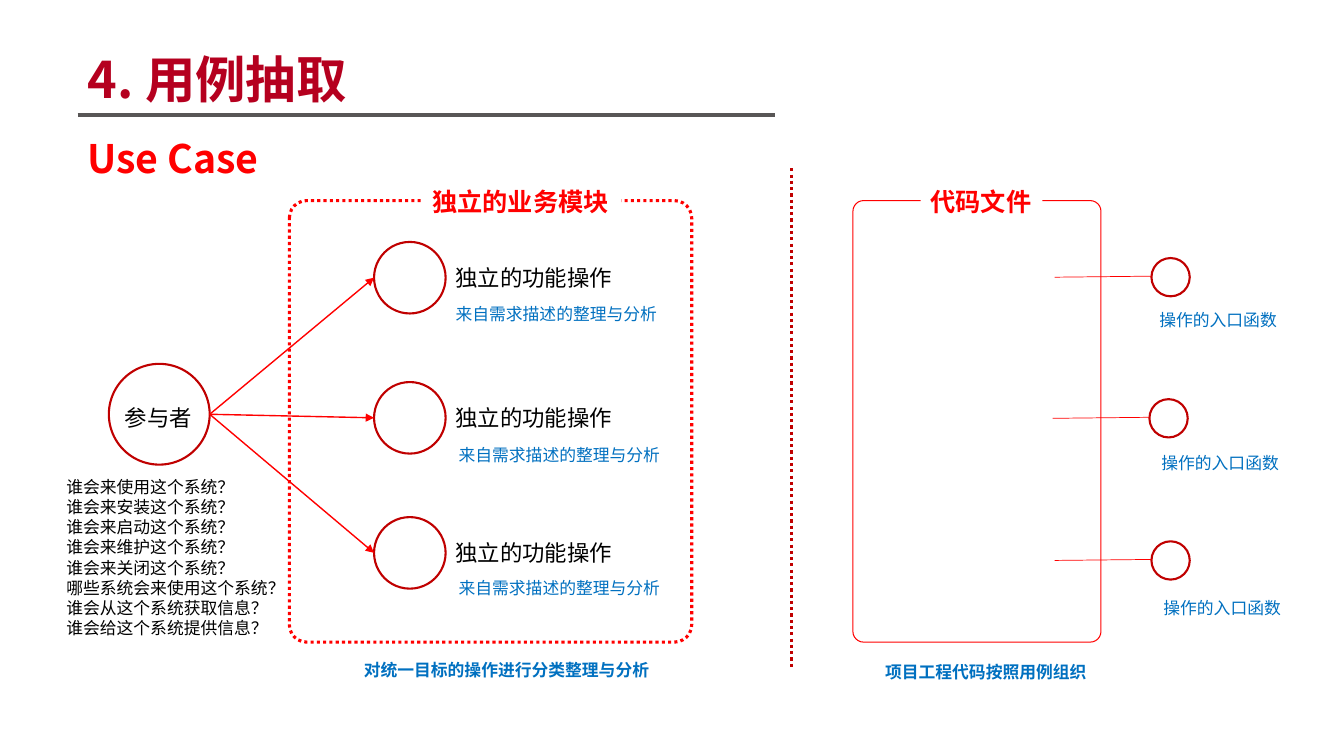
from dataclasses import dataclass

from lxml import etree
from pptx import Presentation
from pptx.dml.color import RGBColor
from pptx.enum.dml import MSO_LINE
from pptx.enum.shapes import MSO_CONNECTOR, MSO_SHAPE
from pptx.enum.text import MSO_AUTO_SIZE
from pptx.oxml.ns import qn
from pptx.util import Inches, Pt

STRAIGHT = MSO_CONNECTOR.STRAIGHT
OVAL = MSO_SHAPE.OVAL
ROUNDED = MSO_SHAPE.ROUNDED_RECTANGLE
DOTTED = MSO_LINE.ROUND_DOT
GROW = MSO_AUTO_SIZE.SHAPE_TO_FIT_TEXT


@dataclass(frozen=True)
class Theme:
    font: str = "Noto Sans CJK SC"
    crimson: str = "B5001F"
    grey: str = "585656"
    dark_red: str = "C00000"
    red: str = "FF0000"
    blue: str = "0070C0"
    black: str = "000000"
    white: str = "FFFFFF"
    title: int = 36
    subtitle: int = 28
    heading: int = 18
    body: int = 16
    note: int = 12


THEME = Theme()

QUESTIONS = [
    "谁会来使用这个系统？",
    "谁会来安装这个系统？",
    "谁会来启动这个系统？",
    "谁会来维护这个系统？",
    "谁会来关闭这个系统？",
    "哪些系统会来使用这个系统？",
    "谁会从这个系统获取信息？",
    "谁会给这个系统提供信息？",
]

# Circle top, note left and note top of each use case
USE_CASES = [(2.4, 4.42, 2.96), (3.79, 4.45, 4.36), (5.13, 4.45, 5.68)]
# Circle left and top, note left and top of each entry function
ENTRIES = [
    (11.42, 2.56, 11.4, 3.02),
    (11.4, 3.96, 11.42, 4.44),
    (11.42, 5.37, 11.44, 5.88),
]


def rgb(color):
    return RGBColor.from_string(color)


def style_line(line, color, width, dash=None):
    line.color.rgb = rgb(color)
    line.width = Pt(width)
    if dash is not None:
        line.dash_style = dash


def add_text(page, box, lines, size, color, bold=False, wrap=False, fill=None):
    text_box = page.shapes.add_textbox(*map(Inches, box))
    if fill:
        text_box.fill.solid()
        text_box.fill.fore_color.rgb = rgb(fill)
    frame = text_box.text_frame
    frame.word_wrap = wrap
    frame.auto_size = GROW
    font_format = {"name": THEME.font, "size": Pt(size), "bold": bold}
    for index, line in enumerate(lines):
        para = frame.paragraphs[0] if index == 0 else frame.add_paragraph()
        span = para.add_run()
        span.text = line
        for key, value in font_format.items():
            setattr(span.font, key, value)
        span.font.color.rgb = rgb(color)
        east_asian = etree.SubElement(span.font._element, qn("a:ea"))
        east_asian.set("typeface", THEME.font)


def add_note(page, left, top, width, text, bold=False):
    add_text(page, (left, top, width, 0.3), [text], THEME.note, THEME.blue, bold)


def add_outline(page, kind, box, color, width, dash=None):
    shape = page.shapes.add_shape(kind, *map(Inches, box))
    shape.shadow.inherit = False
    shape.fill.background()
    style_line(shape.line, color, width, dash)
    return shape


def add_circle(page, left, top, diameter):
    add_outline(page, OVAL, (left, top, diameter, diameter), THEME.dark_red, 1.5)


def add_line(page, start, end, color, width, dash=None, arrow=False):
    line = page.shapes.add_connector(STRAIGHT, *map(Inches, start + end))
    style_line(line.line, color, width, dash)
    if arrow:
        outline = line.line._get_or_add_ln()
        etree.SubElement(outline, qn("a:tailEnd")).set("type", "triangle")
    etree.SubElement(line._element.spPr, qn("a:effectLst"))


def add_frame(page, left, width, line_width, label, label_left, label_width, dash=None):
    """Rounded frame whose heading interrupts the top edge."""
    box = (left, 1.99, width, 4.38)
    frame = add_outline(page, ROUNDED, box, THEME.red, line_width, dash)
    frame.adjustments[0] = 0.043
    add_text(page, (label_left, 1.8, label_width, 0.4), [label],
             THEME.heading, THEME.red, bold=True, fill=THEME.white)


def add_header(page):
    add_text(page, (0.77, 0.43, 8.7, 0.71), ["4. 用例抽取"],
             THEME.title, THEME.crimson, bold=True, wrap=True)
    add_line(page, (0.77, 1.14), (7.69, 1.14), THEME.grey, 3)
    add_text(page, (0.77, 1.28, 1.96, 0.57), ["Use Case"],
             THEME.subtitle, THEME.red, bold=True)


def add_actor(page):
    add_circle(page, 1.08, 3.61, 1)
    add_text(page, (1.14, 3.96, 0.88, 0.37), ["参与者"], THEME.body, THEME.black)
    add_text(page, (0.56, 4.68, 2.56, 1.72), QUESTIONS,
             THEME.note, THEME.black, wrap=True)


def add_business_module(page):
    add_frame(page, 2.87, 3.99, 2.25, "独立的业务模块", 4.19, 1.97, DOTTED)
    diameter = 0.71
    for top, note_left, note_top in USE_CASES:
        add_circle(page, 3.71, top, diameter)
        add_text(page, (4.42, top + 0.17, 1.77, 0.37), ["独立的功能操作"],
                 THEME.body, THEME.black)
        add_note(page, note_left, note_top, 2.22, "来自需求描述的整理与分析")
        add_line(page, (2.08, 4.11), (3.71, top + diameter / 2),
                 THEME.red, 1, arrow=True)
    add_note(page, 3.51, 6.5, 3.06, "对统一目标的操作进行分类整理与分析", bold=True)


def add_code_file(page):
    add_frame(page, 8.46, 2.46, 0.75, "代码文件", 9.13, 1.21)
    for left, top, note_left, note_top in ENTRIES:
        add_circle(page, left, top, 0.38)
        add_line(page, (left, top + 0.18), (left - 0.96, top + 0.19), THEME.red, 0.5)
        add_note(page, note_left, note_top, 1.38, "操作的入口函数")
    add_note(page, 8.68, 6.52, 2.22, "项目工程代码按照用例组织", bold=True)


def main():
    deck = Presentation()
    deck.slide_width = Inches(13.33)
    deck.slide_height = Inches(7.5)
    page = deck.slides.add_slide(deck.slide_layouts[6])

    add_header(page)
    add_actor(page)
    add_business_module(page)
    # Divider between analysis and code
    add_line(page, (7.85, 1.67), (7.85, 6.63), THEME.dark_red, 2.25, DOTTED)
    add_code_file(page)

    deck.save("out.pptx")


if __name__ == "__main__":
    main()
